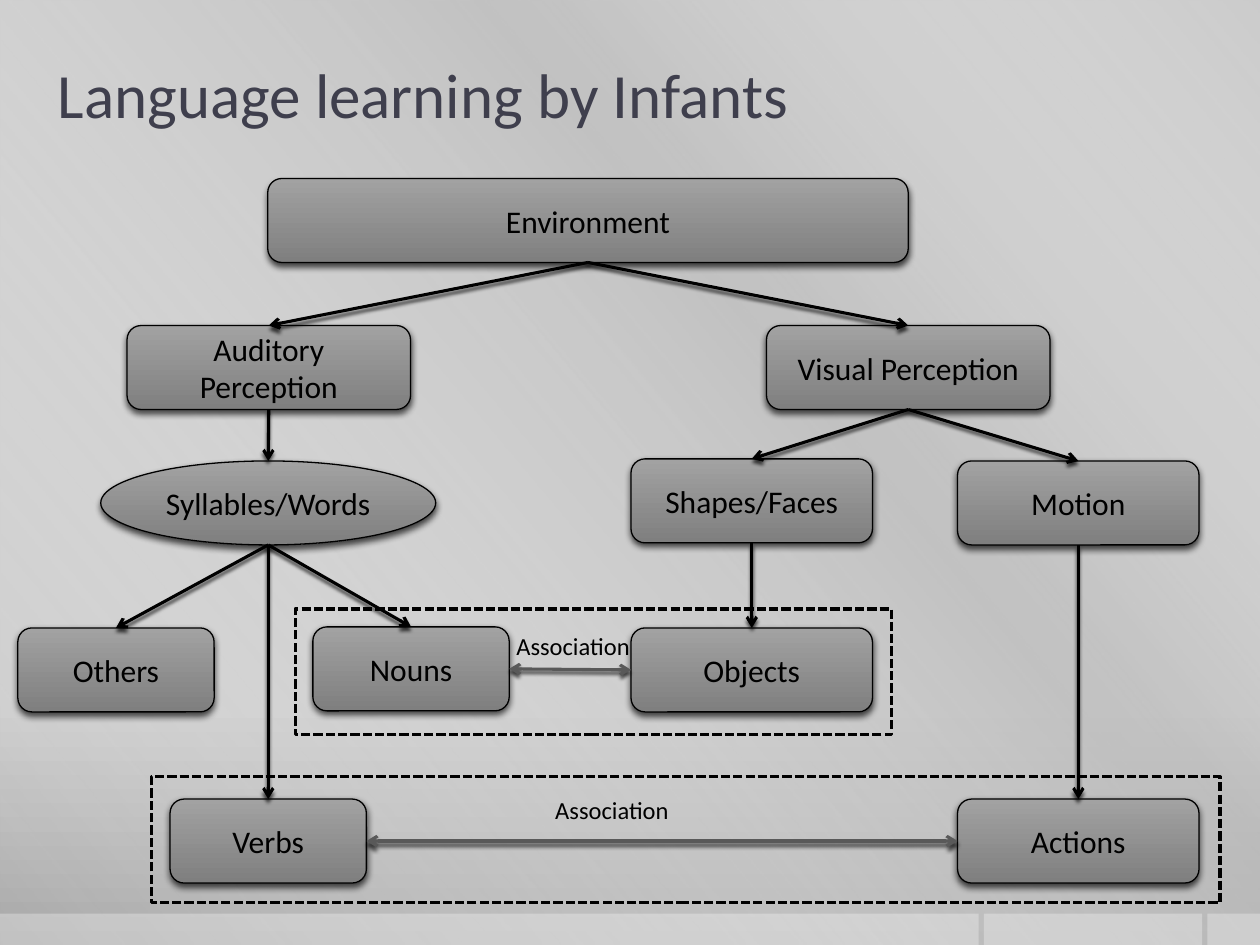
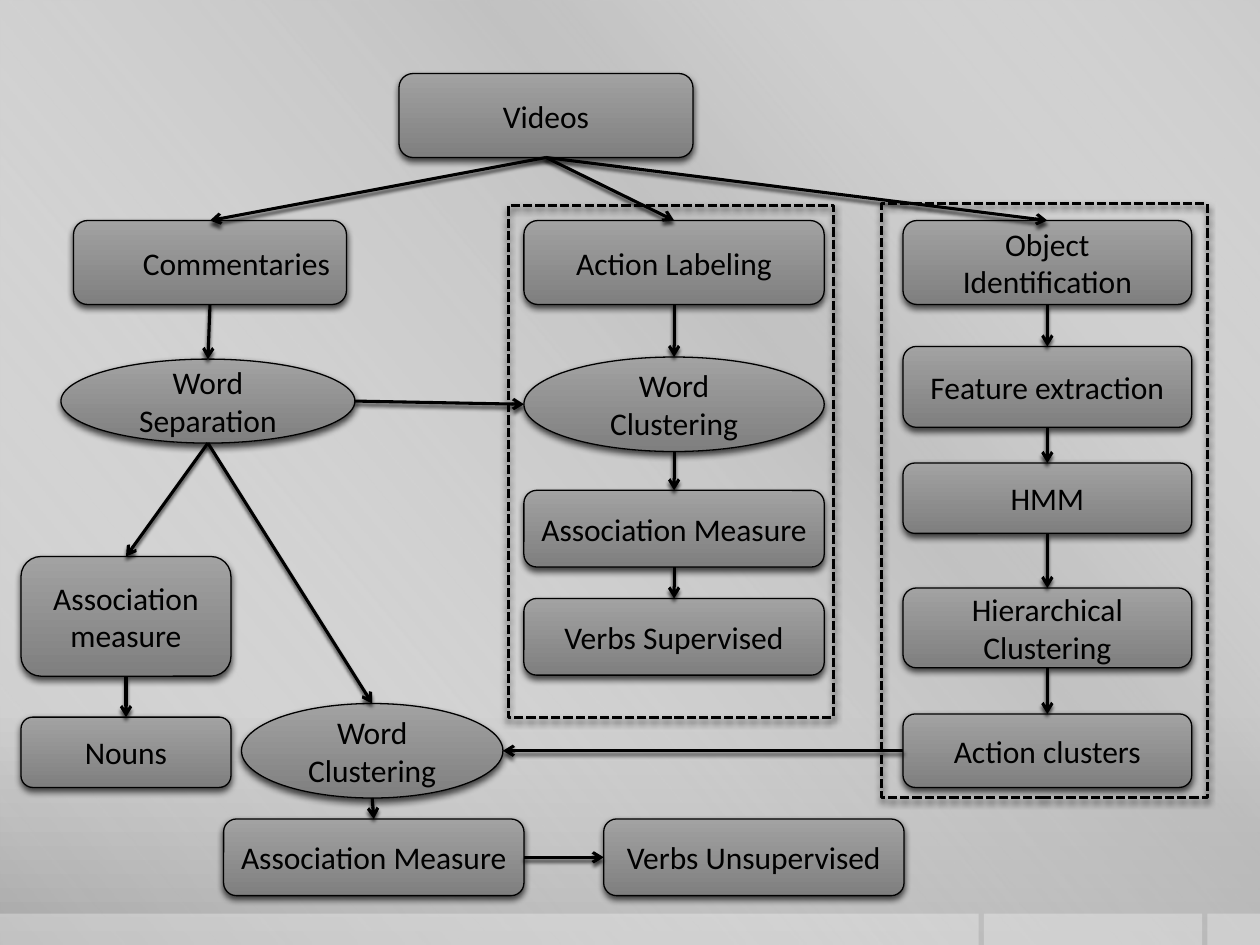
from collections import namedtuple
from itertools import pairwise
from lxml.etree import SubElement
from pptx import Presentation
from pptx.dml.color import RGBColor
from pptx.enum.dml import MSO_LINE
from pptx.enum.shapes import MSO_CONNECTOR, MSO_SHAPE
from pptx.enum.text import MSO_ANCHOR, PP_ALIGN
from pptx.oxml.ns import qn
from pptx.oxml.xmlchemy import OxmlElement
from pptx.util import Inches, Pt

COLUMNS, ROWS = 120, 90
CELL = Inches(10) / COLUMNS
FONT = "Calibri"
INK, TITLE_INK, LINK_INK = "000000", "3F3F4D", "595959"
NODE_STOPS = [(0, "A2A2A2", 100), (100, "7F7F7F", 100)]
PAGE_STOPS = [(0, "CBCBCB", 100), (76, "C8C8C8", 100), (100, "A7A7A7", 100)]
SHEEN_STOPS = [(0, "FFFFFF", 0), (34, "BFBFBF", 61), (38, "BFBFBF", 76), (100, "FFFFFF", 0)]
BAND_STOPS = [(0, "FFFFFF", 30)]
ROUND, OVAL, RECT = MSO_SHAPE.ROUNDED_RECTANGLE, MSO_SHAPE.OVAL, MSO_SHAPE.RECTANGLE


class Box(namedtuple("Box", "left top width height")):
    def inside(self, left, top, width, height):
        return Box(self.left + left, self.top + top, width, height)

    def lengths(self):
        return [round(cells * CELL) for cells in self]

    def edge(self, side):
        across, down = {"top": (0.5, 0), "bottom": (0.5, 1), "left": (0, 0.5), "right": (1, 0.5)}[side]
        return (round((self.left + across * self.width) * CELL),
                round((self.top + down * self.height) * CELL))


def color(value):
    return RGBColor.from_string(value)


def apply(target, formats):
    for name, value in formats.items():
        setattr(target, name, value)


def add_color(parent, value, opacity):
    tone = SubElement(parent, qn("a:srgbClr"), val=value)
    if opacity < 100:
        SubElement(tone, qn("a:alpha"), val=str(opacity * 1000))


def paint(fill, holder, stops, angle=90):
    fill.solid()
    fill.fore_color.rgb = color(stops[0][1])
    solid = holder.find(qn("a:solidFill"))
    if len(stops) == 1:
        solid.clear()
        add_color(solid, *stops[0][1:])
        return
    gradient = OxmlElement("a:gradFill")
    gradient.set("rotWithShape", "1")
    stop_list = SubElement(gradient, qn("a:gsLst"))
    for position, value, opacity in stops:
        stop = SubElement(stop_list, qn("a:gs"), pos=str(position * 1000))
        add_color(stop, value, opacity)
    SubElement(gradient, qn("a:lin"), ang=str(angle * 60000), scaled="0")
    holder.replace(solid, gradient)


def add_effects(shape, blur=None):
    effects = SubElement(shape.element.spPr, qn("a:effectLst"))
    if blur:
        shadow = SubElement(effects, qn("a:outerShdw"), blurRad=str(Pt(blur)),
                            dist=str(Pt(2)), dir="5400000", rotWithShape="0")
        add_color(shadow, INK, 70)


def write(frame, text, size, ink=INK, align=PP_ALIGN.LEFT):
    para = frame.paragraphs[0]
    para.alignment = align
    span = para.add_run()
    span.text = text
    apply(span.font, {"size": Pt(size), "name": FONT})
    span.font.color.rgb = color(ink)


def add_outline(shape, ink, width):
    shape.line.color.rgb = color(ink)
    shape.line.width = Pt(width)


def add_node(page, box, text, kind=ROUND, align=PP_ALIGN.CENTER):
    node = page.shapes.add_shape(kind, *box.lengths())
    paint(node.fill, node.element.spPr, NODE_STOPS)
    add_outline(node, INK, 0.75)
    add_effects(node, 4)
    write(node.text_frame, text, 18, align=align)
    return box


def add_frame(page, box, blur=None):
    frame = page.shapes.add_shape(RECT, *box.lengths())
    frame.fill.background()
    add_outline(frame, INK, 1.75)
    frame.line.dash_style = MSO_LINE.SQUARE_DOT
    add_effects(frame, blur)


def add_arrow(page, start, end, sides=("bottom", "top"), ink=INK, ends=("tailEnd",)):
    arrow = page.shapes.add_connector(MSO_CONNECTOR.STRAIGHT, *start.edge(sides[0]), *end.edge(sides[1]))
    add_outline(arrow, ink, 1.75)
    outline = arrow.element.spPr.find(qn("a:ln"))
    for end_name in ends:
        SubElement(outline, qn(f"a:{end_name}"), type="arrow")
    add_effects(arrow, 2)


def add_association(page, start, end, label_box):
    add_arrow(page, start, end, ("right", "left"), LINK_INK, ("headEnd", "tailEnd"))
    label = page.shapes.add_textbox(*label_box.lengths())
    label.text_frame.word_wrap = True
    write(label.text_frame, "Association", 14)


def add_nodes(page, box, rows):
    return {text: add_node(page, box.inside(*place), text, *style) for text, place, *style in rows}


def add_title(page, box, text):
    title = page.shapes.title
    apply(title, dict(zip(("left", "top", "width", "height"), box.lengths())))
    apply(title.text_frame, {"margin_left": 0, "margin_right": 0,
                             "vertical_anchor": MSO_ANCHOR.MIDDLE, "word_wrap": True})
    write(title.text_frame, text, 36, TITLE_INK)


def dress_master(master, page):
    paint(master.background.fill, master.element.find(f".//{qn('p:bgPr')}"), PAGE_STOPS)
    bands = [Box(left, 87, width, 3) for left, width in ((115, 5), (93.7, 20.8), (0, 93.2))]
    parts = [(Box(0, 0, COLUMNS, ROWS), SHEEN_STOPS), *((band, BAND_STOPS) for band in bands)]
    for index, (box, stops) in enumerate(parts):
        shape = page.shapes.add_shape(RECT, *box.lengths())
        paint(shape.fill, shape.element.spPr, stops, 140)
        shape.line.fill.background()
        add_effects(shape)
        shape.element.nvSpPr.cNvPr.set("id", str(100 + index))
        master.shapes.element.insert(2 + index, shape.element)


def infant_tree(page, box):
    wide, middle, narrow = 27, 23, 18.7
    nodes = add_nodes(page, box, [
        ("Environment", (25.5, 0, 61, 8)),
        ("Auditory Perception", (12.1, 14, wide, 8)),
        ("Visual Perception", (73, 14, wide, 8)),
        ("Syllables/Words", (9.6, 26.9, 31.9, 8), OVAL),
        ("Shapes/Faces", (60.1, 26.7, middle, 8)),
        ("Motion", (91.2, 26.9, middle, 8)),
        ("Others", (1.7, 42.8, narrow, 8)),
        ("Nouns", (29.8, 42.7, narrow, 8)),
        ("Objects", (60.1, 42.8, middle, 8)),
        ("Verbs", (16.2, 59.1, narrow, 8)),
        ("Actions", (91.2, 59.1, middle, 8)),
    ])
    children = {
        "Environment": ["Auditory Perception", "Visual Perception"],
        "Auditory Perception": ["Syllables/Words"],
        "Syllables/Words": ["Others", "Nouns", "Verbs"],
        "Visual Perception": ["Shapes/Faces", "Motion"],
        "Shapes/Faces": ["Objects"],
        "Motion": ["Actions"],
    }
    for parent, names in children.items():
        for name in names:
            add_arrow(page, nodes[parent], nodes[name])
    add_frame(page, box.inside(28.1, 41, 56.8, 12))
    add_frame(page, box.inside(14.4, 57, 101.8, 12))
    add_association(page, nodes["Nouns"], nodes["Objects"], box.inside(48, 42.5, 14.4, 4.1))
    add_association(page, nodes["Verbs"], nodes["Actions"], box.inside(51.7, 58.1, 19.3, 4.1))


def stage_column(page, box, inset, width, stages):
    add_frame(page, box, 4)
    nodes = add_nodes(page, box, [(text, (inset, top, width, height), *style)
                                  for text, top, height, *style in stages])
    for upper, lower in pairwise(nodes.values()):
        add_arrow(page, upper, lower)
    return nodes


def commentary_branch(page, box):
    nodes = add_nodes(page, box, [
        ("Commentaries", (5, 0, 26, 8), ROUND, PP_ALIGN.RIGHT),
        ("Word Separation", (3.8, 13.2, 28, 8), OVAL),
        ("Association measure", (0, 32, 20, 11.4)),
        ("Nouns", (0, 47.3, 20, 6.7)),
        ("Word Clustering", (21, 46, 24.9, 9), OVAL),
        ("Association Measure", (19.3, 57, 28.6, 7.3)),
        ("Verbs Unsupervised", (55.5, 57, 28.6, 7.3)),
    ])
    for parent, child in [
        ("Commentaries", "Word Separation"),
        ("Word Separation", "Association measure"),
        ("Word Separation", "Word Clustering"),
        ("Association measure", "Nouns"),
        ("Word Clustering", "Association Measure"),
    ]:
        add_arrow(page, nodes[parent], nodes[child])
    add_arrow(page, nodes["Association Measure"], nodes["Verbs Unsupervised"], ("right", "left"))
    return nodes


def video_pipeline(page, box):
    videos = add_node(page, box.inside(38, 7, 28, 8), "Videos")
    objects = stage_column(page, box.inside(84, 19.4, 31, 56.6), 2, 27.5, [
        ("Object Identification", 1.6, 8),
        ("Feature extraction", 13.6, 7.7),
        ("HMM", 24.7, 6.7),
        ("Hierarchical Clustering", 36.6, 7.6),
        ("Action clusters", 48.6, 7),
    ])
    actions = stage_column(page, box.inside(48.4, 19.6, 31, 48.7), 1.5, 28.6, [
        ("Action Labeling", 1.4, 8),
        ("Word Clustering", 14.4, 9, OVAL),
        ("Association Measure", 27.1, 7.3),
        ("Verbs Supervised", 37.4, 7.3),
    ])
    words = commentary_branch(page, box.inside(2, 21, 84, 65))
    for target in (words["Commentaries"], actions["Action Labeling"], objects["Object Identification"]):
        add_arrow(page, videos, target)
    add_arrow(page, words["Word Separation"], actions["Word Clustering"], ("right", "left"))
    add_arrow(page, objects["Action clusters"], words["Word Clustering"], ("left", "right"))


deck = Presentation()
apply(deck, {"slide_width": Inches(10), "slide_height": Inches(7.5)})
title_only, blank = deck.slide_layouts[5], deck.slide_layouts[6]

infant_page = deck.slides.add_slide(title_only)
dress_master(deck.slide_master, infant_page)
add_title(infant_page, Box(5.5, 2, 107.4, 13.8), "Language learning by Infants")
infant_tree(infant_page, Box(0, 17, COLUMNS, 70))

video_page = deck.slides.add_slide(blank)
video_pipeline(video_page, Box(0, 0, COLUMNS, ROWS))

deck.save("out.pptx")
